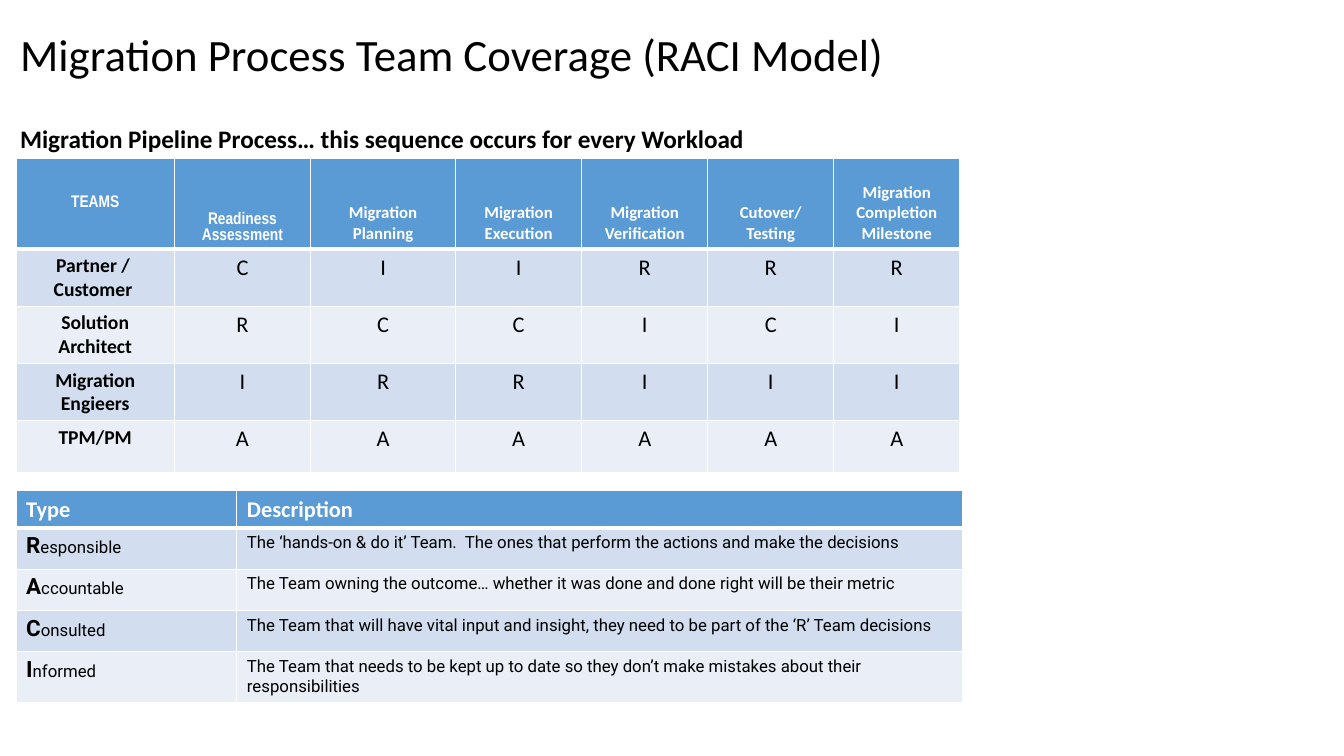
from lxml import etree
from pptx import Presentation
from pptx.dml.color import RGBColor
from pptx.enum.text import MSO_ANCHOR, MSO_AUTO_SIZE, PP_ALIGN
from pptx.oxml.ns import qn
from pptx.util import Inches, Pt

LEFT, CENTER = PP_ALIGN.LEFT, PP_ALIGN.CENTER
TOP, MIDDLE, BOTTOM = MSO_ANCHOR.TOP, MSO_ANCHOR.MIDDLE, MSO_ANCHOR.BOTTOM
FIT_SHAPE = MSO_AUTO_SIZE.SHAPE_TO_FIT_TEXT
TITLE_ONLY = 5

BLACK = RGBColor(0x00, 0x00, 0x00)
WHITE = RGBColor(0xFF, 0xFF, 0xFF)
HEADER_BLUE = RGBColor(0x5B, 0x9B, 0xD5)
BANDS = (RGBColor(0xD2, 0xDE, 0xEF), RGBColor(0xEA, 0xEF, 0xF7))

PHASES = ["Readiness Assessment", "Migration Planning", "Migration Execution",
          "Migration Verification", "Cutover/\nTesting",
          "Migration Completion Milestone"]
TEAM_ROLES = [
    ("Partner / \nCustomer ", "CIIRRR"),
    ("Solution Architect", "RCCICI"),
    ("Migration Engieers", "IRRIII"),
    ("TPM/PM", "AAAAAA"),
]
ROLE_TYPES = [
    ("Responsible", "The ‘hands-on & do it’ Team.  The ones that perform the "
                    "actions and make the decisions"),
    ("Accountable", "The Team owning the outcome… whether it was done and done "
                    "right will be their metric"),
    ("Consulted", "The Team that will have vital input and insight, they need "
                  "to be part of the ‘R’ Team decisions"),
    ("Informed", "The Team that needs to be kept up to date so they don’t make "
                 "mistakes about their responsibilities"),
]


def set_font(font, size, color=BLACK, bold=False, name="Calibri"):
    font.size, font.bold, font.name = Pt(size), bold, name
    font.color.rgb = color


def write_text(frame, text, size, color=BLACK, bold=False, name="Calibri",
               align=LEFT):
    frame.text = text
    for paragraph in frame.paragraphs:
        paragraph.alignment = align
        set_font(paragraph.font, size, color, bold, name)


def set_borders(cell, top=1, bottom=1):
    """Draw white cell borders; widths are in points."""
    properties = cell._tc.get_or_add_tcPr()
    sides = (("a:lnL", 1), ("a:lnR", 1), ("a:lnT", top), ("a:lnB", bottom))
    for position, (tag, width) in enumerate(sides):
        line = etree.Element(qn(tag), w=str(Pt(width)))
        fill = etree.SubElement(line, qn("a:solidFill"))
        etree.SubElement(fill, qn("a:srgbClr"), val=str(WHITE))
        properties.insert(position, line)


def add_banded_table(slide, top, column_widths, row_heights):
    shape = slide.shapes.add_table(
        len(row_heights), len(column_widths), Inches(0.16), Inches(top),
        Inches(sum(column_widths)), Inches(sum(row_heights)))
    table = shape.table
    for column, width in zip(table.columns, column_widths):
        column.width = Inches(width)
    for index, (row, height) in enumerate(zip(table.rows, row_heights)):
        row.height = Inches(height)
        for cell in row.cells:
            cell.fill.solid()
            cell.fill.fore_color.rgb = BANDS[(index - 1) % 2] if index else HEADER_BLUE
            set_borders(cell, top=3 if index == 1 else 1,
                        bottom=1 if index else 3)
    return table


def add_title(slide):
    title = slide.shapes.title
    title.left, title.top = Inches(0.1), Inches(0.26)
    title.width, title.height = Inches(11.5), Inches(0.61)
    frame = title.text_frame
    write_text(frame, "Migration Process Team Coverage (RACI Model)", 32)
    frame.vertical_anchor = MIDDLE
    frame.paragraphs[0].line_spacing = 0.9


def add_subtitle(slide):
    box = slide.shapes.add_textbox(Inches(0.1), Inches(1.17), Inches(7.48),
                                   Inches(0.4))
    box.text_frame.word_wrap = False
    box.text_frame.auto_size = FIT_SHAPE
    write_text(box.text_frame, "Migration Pipeline Process… this sequence "
               "occurs for every Workload", 18, bold=True)


def add_role_types(slide):
    table = add_banded_table(slide, 4.87, [2.19, 7.2], [0.35] + [0.41] * 4)
    for column, heading in enumerate(("Type", "Description")):
        write_text(table.cell(0, column).text_frame, heading, 16, WHITE, True)
    for row, (role, description) in enumerate(ROLE_TYPES, start=1):
        # The initial is larger and bold
        paragraph = table.cell(row, 0).text_frame.paragraphs[0]
        for text, size, bold in ((role[0], 16, True), (role[1:], 12, False)):
            run = paragraph.add_run()
            run.text = text
            set_font(run.font, size, bold=bold, name="Roboto")
        write_text(table.cell(row, 1).text_frame, description, 12,
                   name="Roboto")


def add_team_matrix(slide):
    table = add_banded_table(slide, 1.57, [1.57, 1.35, 1.44] + [1.25] * 4,
                             [0.9] + [0.52] * 4)
    # Header row
    for column, heading in enumerate(["TEAMS"] + PHASES):
        cell = table.cell(0, column)
        cell.vertical_anchor = BOTTOM if column else MIDDLE
        name = "Calibri" if column > 1 else "Arial Narrow"
        write_text(cell.text_frame, heading, 12, WHITE, True, name, CENTER)
    # Teams and their roles
    for row, (team, roles) in enumerate(TEAM_ROLES, start=1):
        write_text(table.cell(row, 0).text_frame, team, 14, bold=True,
                   align=CENTER)
        for column, role in enumerate(roles, start=1):
            write_text(table.cell(row, column).text_frame, role, 16,
                       align=CENTER)


def main():
    presentation = Presentation()
    presentation.slide_width = Inches(13.33)
    presentation.slide_height = Inches(7.5)
    slide = presentation.slides.add_slide(presentation.slide_layouts[TITLE_ONLY])
    add_title(slide)
    add_subtitle(slide)
    add_role_types(slide)
    add_team_matrix(slide)
    presentation.save("out.pptx")


if __name__ == "__main__":
    main()
